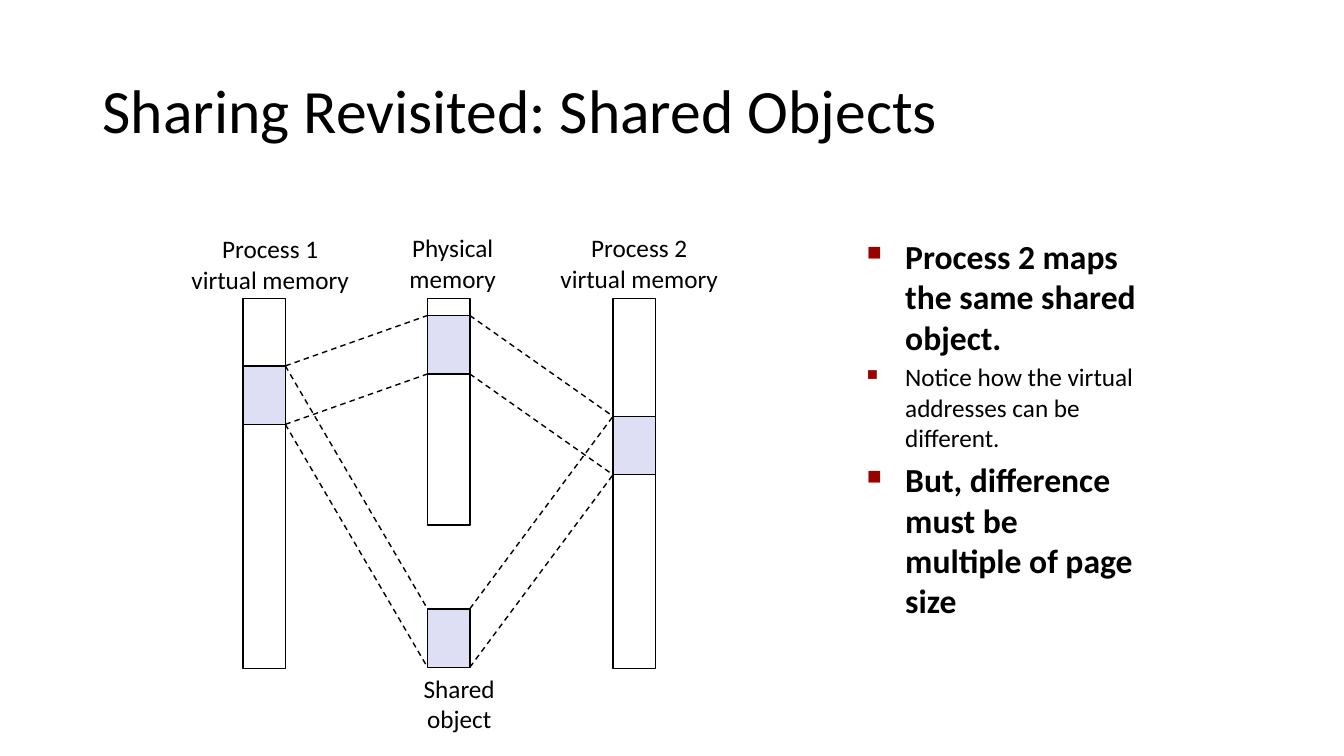
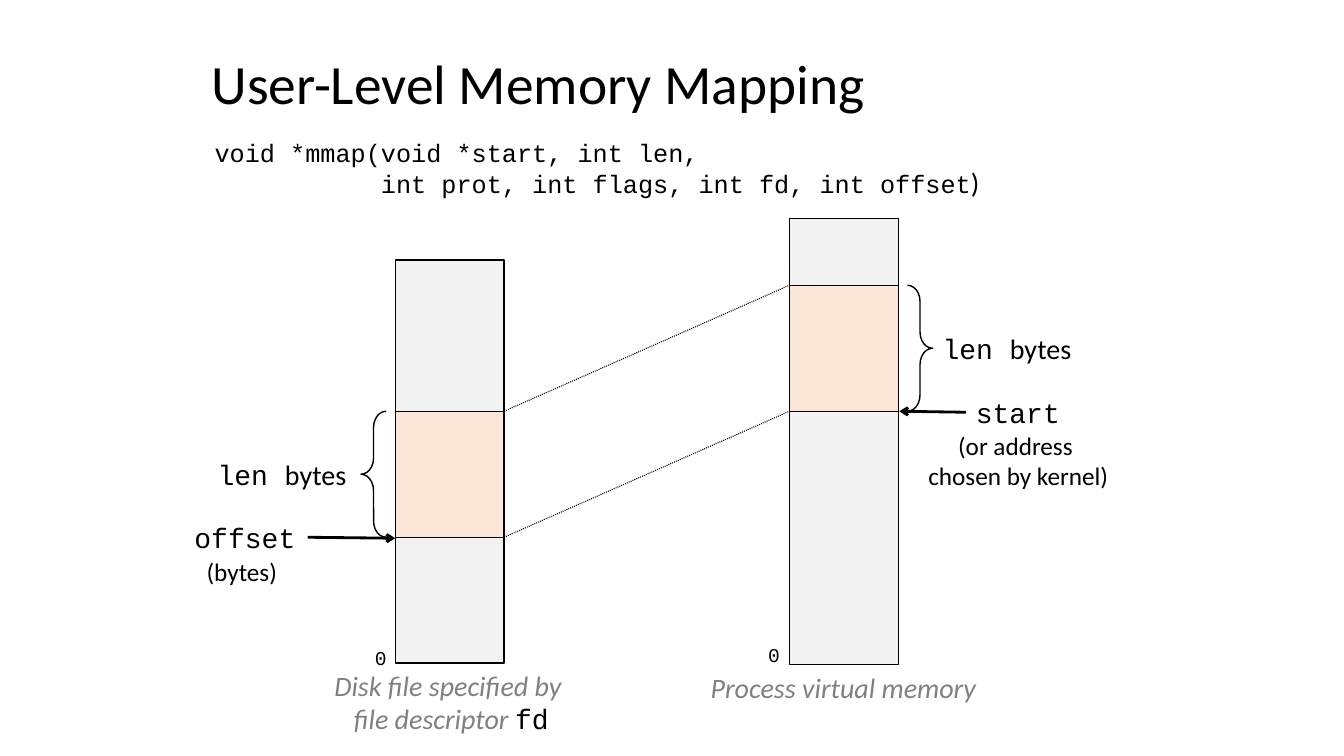
"""Build two slides on shared objects and user-level memory mapping."""
from lxml import etree
from pptx import Presentation
from pptx import util as u
from pptx.dml.color import RGBColor
from pptx.enum import dml, shapes, text
from pptx.oxml.ns import qn

PX = 9144
SIZE = (1333, 750)
COLORS = {"ink": "000000", "shared": "DEDFF5", "memory": "F2F2F2",
          "mapped": "FBE5D6", "caption": "808080", "bullet": "990000"}
STYLES = {
    "title": {"name": "Calibri", "size": 44},
    "small title": {"name": "Calibri", "size": 39.6},
    "label": {"name": "Calibri", "size": 18},
    "unit": {"name": "Calibri", "size": 20},
    "caption": {"name": "Calibri", "size": 20, "italic": True},
    "point": {"name": "Calibri", "size": 24, "bold": True},
    "detail": {"name": "Calibri", "size": 18},
    "signature": {"name": "Courier New", "size": 18},
    "code": {"name": "Courier New", "size": 20},
    "zero": {"name": "Courier New", "size": 14},
}
LEFT, CENTER = text.PP_ALIGN.LEFT, text.PP_ALIGN.CENTER
LINKS = {"dashed": (1, dml.MSO_LINE.DASH), "dotted": (0.75, dml.MSO_LINE.ROUND_DOT)}

LEN_BYTES = [[("len ", "code"), ("bytes", "unit")]]
SHARING = {
    "title": ("Sharing Revisited: Shared Objects", (92, 40, 1150, 145), "title"),
    "bars": [((241, 296, 42, 367), None), ((424, 296, 42, 225), None),
             ((608, 296, 42, 367), None)],
    "regions": {"process 1": (241, 363, 42, 58), "physical": (424, 313, 42, 58),
                "process 2": (608, 413, 42, 58), "object": (424, 604, 42, 58)},
    "region fill": "shared",
    "links": [("process 1", "physical"), ("process 1", "object"),
              ("physical", "process 2"), ("object", "process 2")],
    "link style": "dashed",
    "labels": [
        ((177, 227, 182, 71), CENTER, [[("Process 1", "label")], [("virtual memory", "label")]]),
        ((395, 226, 108, 71), CENTER, [[("Physical", "label")], [("memory", "label")]]),
        ((543, 226, 182, 71), CENTER, [[("Process 2", "label")], [("virtual memory", "label")]]),
        ((409, 663, 93, 71), CENTER, [[("Shared", "label")], [("object", "label")]]),
    ],
}
POINTS_BOX = (850, 229, 290, 504)
POINTS = [("Process 2 maps the same shared object.", "point"),
          ("Notice how the virtual addresses can be different.", "detail"),
          ("But, difference must be multiple of page size", "point")]

MAPPING = {
    "title": ("User-Level Memory Mapping", (200, 54, 794, 63), "small title"),
    "bars": [((392, 258, 108, 400), "memory"), ((783, 217, 108, 442), "memory")],
    "regions": {"file": (392, 408, 108, 125), "process": (783, 283, 108, 125)},
    "region fill": "mapped",
    "links": [("file", "process")],
    "link style": "dotted",
    "labels": [
        ((925, 324, 151, 44), LEFT, LEN_BYTES),
        ((206, 449, 151, 44), LEFT, LEN_BYTES),
        ((958, 387, 104, 44), LEFT, [[("start", "code")]]),
        ((908, 422, 204, 71), CENTER, [[("(or address ", "label")], [("chosen by kernel)", "label")]]),
        ((183, 511, 121, 44), LEFT, [[("offset", "code")]]),
        ((195, 547, 92, 40), LEFT, [[("(bytes)", "label")]]),
        ((362, 636, 32, 34), LEFT, [[("0", "zero")]]),
        ((752, 633, 32, 34), LEFT, [[("0", "zero")]]),
        ((695, 660, 292, 44), LEFT, [[("Process virtual memory", "caption")]]),
        ((317, 658, 261, 77), CENTER, [[("Disk file specified by ", "caption")],
                                       [("file descriptor ", "caption"), ("fd", "code")]]),
    ],
}
SIGNATURE_BOX = (203, 134, 909, 91)
SIGNATURE = [(0, [("void *mmap(void *start, int len,", "signature")]),
             (165, [("int prot, int flags, int fd, int offset", "signature"), (")", "unit")])]
BRACES = [(shapes.MSO_SHAPE.LEFT_BRACE, (358, 408, 25, 125)),
          (shapes.MSO_SHAPE.RIGHT_BRACE, (900, 283, 25, 125))]
ARROWS = [((305, 533), (392, 534)), ((958, 409), (892, 408))]


def emu(lengths):
    return [length * PX for length in lengths]


def color(name):
    return RGBColor.from_string(COLORS[name])


def add_runs(paragraph, runs):
    for words, style in runs:
        run = paragraph.add_run()
        run.text = words
        for key, value in STYLES[style].items():
            setattr(run.font, key, u.Pt(value) if key == "size" else value)
        run.font.color.rgb = color("caption" if style == "caption" else "ink")


def add_text(slide, box, paragraphs, paragraph_format=None, **frame_format):
    frame = slide.shapes.add_textbox(*emu(box)).text_frame
    for key, value in {"word_wrap": True, **frame_format}.items():
        setattr(frame, key, value)
    for index, runs in enumerate(paragraphs):
        paragraph = frame.add_paragraph() if index else frame.paragraphs[0]
        for key, value in (paragraph_format or {}).items():
            setattr(paragraph, key, value)
        add_runs(paragraph, runs)
    return frame.paragraphs


def add_outline(slide, kind, box, fill=None):
    outline = slide.shapes.add_shape(kind, *emu(box))
    outline.shadow.inherit = False
    if fill:
        outline.fill.solid()
        outline.fill.fore_color.rgb = color(fill)
    else:
        outline.fill.background()
    outline.line.color.rgb = color("ink")
    outline.line.width = u.Pt(1)
    return outline


def add_line(slide, start, end, width, dash=None, arrow=False):
    line = slide.shapes.add_connector(shapes.MSO_CONNECTOR.STRAIGHT, *emu(start + end))
    line.line.color.rgb = color("ink")
    line.line.width = u.Pt(width)
    if dash:
        line.line.dash_style = dash
    if arrow:
        etree.SubElement(line.line._get_or_add_ln(), qn("a:tailEnd"), type="arrow")
    etree.SubElement(line._element.spPr, qn("a:effectLst"))


def set_indent(paragraph, margin, first=0):
    properties = paragraph._p.get_or_add_pPr()
    properties.set("marL", str(margin * PX))
    properties.set("indent", str(first * PX))
    return properties


def add_bullet(paragraph, style):
    paragraph.space_before = u.Pt(STYLES[style]["size"] * 0.2)
    properties = set_indent(paragraph, 38, -38)
    tint = etree.SubElement(properties, qn("a:buClr"))
    etree.SubElement(tint, qn("a:srgbClr"), val=COLORS["bullet"])
    etree.SubElement(properties, qn("a:buSzPct"), val="60000")
    etree.SubElement(properties, qn("a:buChar"), char="■")


def add_diagram(deck, content):
    slide = deck.slides.add_slide(deck.slide_layouts[6])
    title, title_box, title_style = content["title"]
    add_text(slide, title_box, [[(title, title_style)]], {"line_spacing": 0.9},
             vertical_anchor=text.MSO_ANCHOR.MIDDLE)
    regions = content["regions"]
    filled = [(box, content["region fill"]) for box in regions.values()]
    for box, fill in content["bars"] + filled:
        add_outline(slide, shapes.MSO_SHAPE.RECTANGLE, box, fill)
    for source, target in content["links"]:
        x, y, width, height = regions[source]
        target_x, target_y = regions[target][:2]
        for drop in (0, height):
            add_line(slide, (x + width, y + drop), (target_x, target_y + drop),
                     *LINKS[content["link style"]])
    for box, alignment, paragraphs in content["labels"]:
        add_text(slide, box, paragraphs, {"alignment": alignment}, word_wrap=False,
                 auto_size=text.MSO_AUTO_SIZE.SHAPE_TO_FIT_TEXT)
    return slide


def main():
    deck = Presentation()
    deck.slide_width, deck.slide_height = emu(SIZE)

    sharing = add_diagram(deck, SHARING)
    points = add_text(sharing, POINTS_BOX, [[point] for point in POINTS])
    for paragraph, (_, style) in zip(points, POINTS):
        add_bullet(paragraph, style)

    mapping = add_diagram(deck, MAPPING)
    signature = add_text(mapping, SIGNATURE_BOX, [runs for _, runs in SIGNATURE],
                         {"line_spacing": 0.94})
    for paragraph, (margin, _) in zip(signature, SIGNATURE):
        set_indent(paragraph, margin)
    for kind, box in BRACES:
        add_outline(mapping, kind, box).adjustments[0] = 0.64
    for start, end in ARROWS:
        add_line(mapping, start, end, 2, arrow=True)

    deck.save("out.pptx")


if __name__ == "__main__":
    main()
